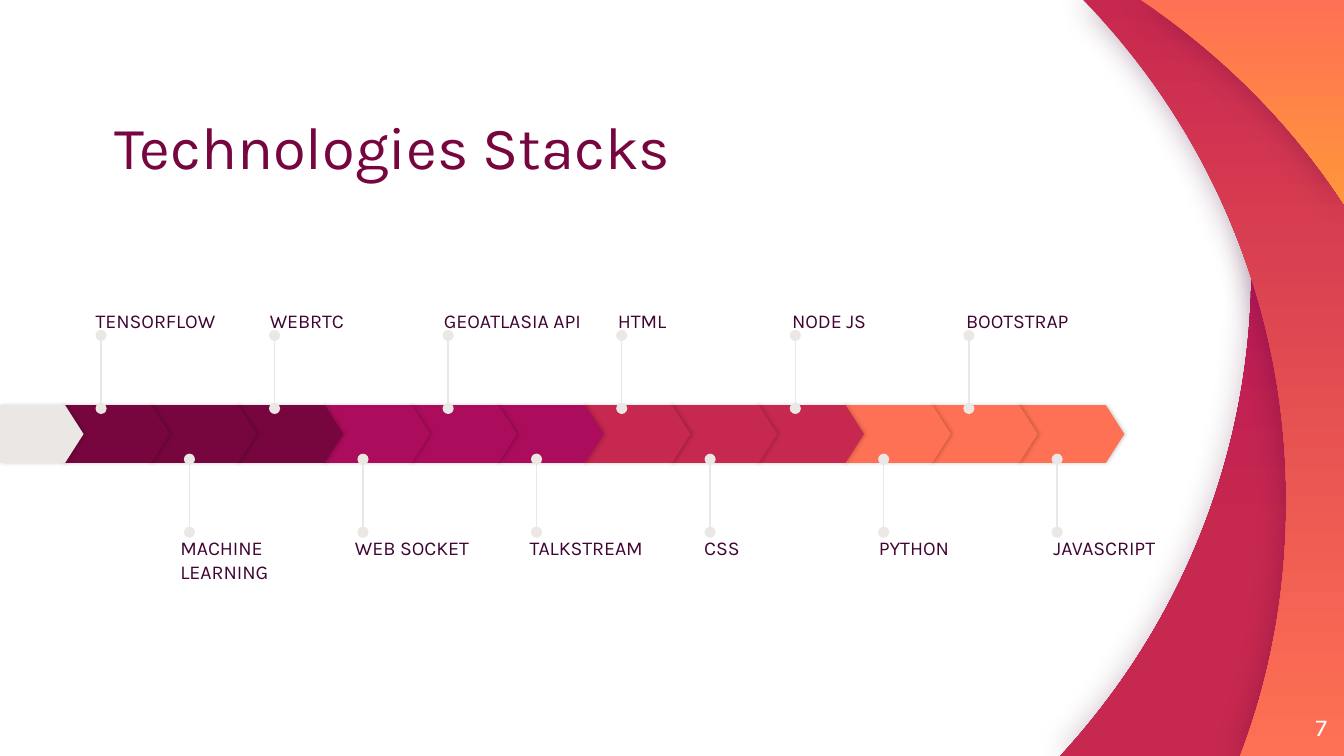
from dataclasses import dataclass

from lxml import etree
from pptx import Presentation
from pptx import util as u
from pptx.dml.color import RGBColor
from pptx.enum import shapes, text
from pptx.oxml.ns import qn
from pptx.util import Cm

SLIDE_W, SLIDE_H = 25.4, 14.29
FONT = "Karla"
PLUM, MAGENTA, CRIMSON, CORAL, AMBER = "77063F", "AC0C5C", "C7284F", "FF7154", "FF963C"
STONE, INK, WHITE = "EBE7E4", "410433", "FFFFFF"

Point = tuple[float, float]


@dataclass
class Shadow:
    color: str
    opacity: int
    blur: float
    distance: float = 0


@dataclass
class Swoosh:
    """A curved band: a start, Bézier segments, then straight corners."""
    start: Point
    curves: list[tuple[Point, Point, Point]]
    corners: list[Point]
    top_color: str
    bottom_color: str
    shadow: Shadow
    gradient_end: float = 1.0


@dataclass
class CalloutRow:
    labels: list[str]
    pin_left: float
    pin_start: float
    pin_end: float
    label_left: float
    label_step: float
    label_top: float
    anchor: text.MSO_ANCHOR


RIGHT_CORNERS = [(SLIDE_W, SLIDE_H), (SLIDE_W, 0)]
SWOOSHES = [
    Swoosh((22.66, 0),
           [((23.32, 1.63), (23.65, 3.33), (23.65, 5.08)),
            ((23.65, 8.64), (22.28, 11.86), (20.04, SLIDE_H))],
           RIGHT_CORNERS, MAGENTA, CRIMSON, Shadow(INK, 25, 16.9), 0.72),
    Swoosh((20.47, 0),
           [((22.86, 2.44), (24.31, 5.79), (24.31, 9.47)),
            ((24.31, 11.13), (24.03, 12.75), (23.44, SLIDE_H))],
           RIGHT_CORNERS, CRIMSON, CORAL, Shadow(INK, 35, 16.9)),
    Swoosh((21.56, 0), [((23.09, 1.02), (24.41, 2.34), (SLIDE_W, 3.86))],
           RIGHT_CORNERS[1:], CORAL, AMBER, Shadow(INK, 30, 16.9)),
]

ARROW_LEFT, ARROW_STEP, ARROW_W = 1.18, 1.64, 2.03
ARROW_TOP, ARROW_H = 7.66, 1.09
ARROW_COLORS = [color for color in (PLUM, MAGENTA, CRIMSON, CORAL) for _ in range(3)]
ARROW_SHADOW = Shadow("000000", 20, 2.2, 0.8)

PIN_STEP = 3.28
LABEL_W, LABEL_H = 3.1, 1.47
CALLOUT_ROWS = [
    CalloutRow(["TENSORFLOW", "WEBRTC", "GEOATLASIA API", "HTML", "NODE JS", "BOOTSTRAP"],
               1.91, 7.72, 6.34, 1.81, 3.29, 4.82, text.MSO_ANCHOR.BOTTOM),
    CalloutRow(["MACHINE LEARNING", "WEB SOCKET", "TALKSTREAM", "CSS", "PYTHON", "JAVASCRIPT"],
               3.58, 10.06, 8.68, 3.41, 3.3, 10.14, text.MSO_ANCHOR.TOP),
]


def rgb(color: str) -> RGBColor:
    return RGBColor.from_string(color)


def set_shadow(shape, shadow: Shadow) -> None:
    shape.shadow.inherit = False
    effects = shape._element.spPr.find(qn("a:effectLst"))
    outer = etree.SubElement(effects, qn("a:outerShdw"), blurRad=str(u.Pt(shadow.blur)),
                             dist=str(u.Pt(shadow.distance)), dir="0",
                             algn="ctr", rotWithShape="0")
    tint = etree.SubElement(outer, qn("a:srgbClr"), val=shadow.color)
    etree.SubElement(tint, qn("a:alpha"), val=str(shadow.opacity * 1000))


def bend_edges(shape, curves: list[tuple[Point, Point, Point]]) -> None:
    """Turn the first straight edges of a freeform into Bézier curves."""
    edges = list(shape._element.iter(qn("a:lnTo")))
    for edge, curve in zip(edges, curves):
        bend = etree.Element(qn("a:cubicBezTo"))
        for x, y in curve:
            etree.SubElement(bend, qn("a:pt"), x=str(Cm(x) - shape.left),
                             y=str(Cm(y) - shape.top))
        edge.getparent().replace(edge, bend)


def add_swoosh(slide, swoosh: Swoosh) -> None:
    ends = [curve[-1] for curve in swoosh.curves]
    start, *rest = [(Cm(x), Cm(y)) for x, y in [swoosh.start, *ends, *swoosh.corners]]
    builder = slide.shapes.build_freeform(*start)
    builder.add_line_segments(rest, close=True)
    band = builder.convert_to_shape()
    bend_edges(band, swoosh.curves)
    band.fill.gradient()
    band.fill.gradient_angle = 270
    first, last = band.fill.gradient_stops
    first.position, last.position = 0, swoosh.gradient_end
    first.color.rgb, last.color.rgb = rgb(swoosh.top_color), rgb(swoosh.bottom_color)
    band.line.fill.background()
    set_shadow(band, swoosh.shadow)


def add_arrow(slide, left: float, width: float, color: str) -> None:
    arrow = slide.shapes.add_shape(shapes.MSO_SHAPE.PENTAGON, Cm(left), Cm(ARROW_TOP),
                                   Cm(width), Cm(ARROW_H))
    arrow.adjustments[0] = 0.32
    arrow.fill.solid()
    arrow.fill.fore_color.rgb = rgb(color)
    arrow.line.fill.background()
    set_shadow(arrow, ARROW_SHADOW)


def add_pin(slide, x: float, start: float, end: float) -> None:
    pin = slide.shapes.add_connector(shapes.MSO_CONNECTOR.STRAIGHT,
                                     Cm(x), Cm(start), Cm(x), Cm(end))
    pin.line.color.rgb = rgb(STONE)
    pin.line.width = u.Pt(0.75)
    stroke = pin.line._get_or_add_ln()
    for tag in ("a:headEnd", "a:tailEnd"):
        etree.SubElement(stroke, qn(tag), type="oval")
    etree.SubElement(pin._element.spPr, qn("a:effectLst"))


def add_text(slide, words: str, left: float, top: float, width: float, height: float, *,
             size: float, color: str, anchor=text.MSO_ANCHOR.TOP,
             align=text.PP_ALIGN.LEFT, spacing: float = 1.0) -> None:
    frame = slide.shapes.add_textbox(Cm(left), Cm(top), Cm(width), Cm(height)).text_frame
    frame.word_wrap = True
    frame.vertical_anchor = anchor
    frame.margin_left = frame.margin_right = frame.margin_top = frame.margin_bottom = 0
    paragraph = frame.paragraphs[0]
    paragraph.alignment = align
    paragraph.line_spacing = spacing
    run = paragraph.add_run()
    run.text = words
    run.font.name = FONT
    run.font.size = u.Pt(size)
    run.font.color.rgb = rgb(color)


def add_callouts(slide, row: CalloutRow) -> None:
    for i, label in enumerate(row.labels):
        add_pin(slide, row.pin_left + i * PIN_STEP, row.pin_start, row.pin_end)
        add_text(slide, label, row.label_left + i * row.label_step, row.label_top,
                 LABEL_W, LABEL_H, size=10.5, color=INK, anchor=row.anchor)


def main() -> None:
    deck = Presentation()
    deck.slide_width, deck.slide_height = Cm(SLIDE_W), Cm(SLIDE_H)
    slide = deck.slides.add_slide(deck.slide_layouts[6])

    for swoosh in SWOOSHES:
        add_swoosh(slide, swoosh)
    add_text(slide, "Technologies Stacks", 2.16, 2.35, 19.33, 1.09, size=32, color=PLUM,
             anchor=text.MSO_ANCHOR.BOTTOM, spacing=0.9)
    add_text(slide, "7", 23.56, 13.19, 1.52, 1.09, size=13, color=WHITE,
             anchor=text.MSO_ANCHOR.MIDDLE, align=text.PP_ALIGN.RIGHT)

    # Each arrow overlaps the one on its right, so the rightmost goes first.
    for i, color in reversed(list(enumerate(ARROW_COLORS))):
        add_arrow(slide, ARROW_LEFT + i * ARROW_STEP, ARROW_W, color)
    add_arrow(slide, 0, 1.58, STONE)

    for row in CALLOUT_ROWS:
        add_callouts(slide, row)

    deck.save("out.pptx")


if __name__ == "__main__":
    main()
